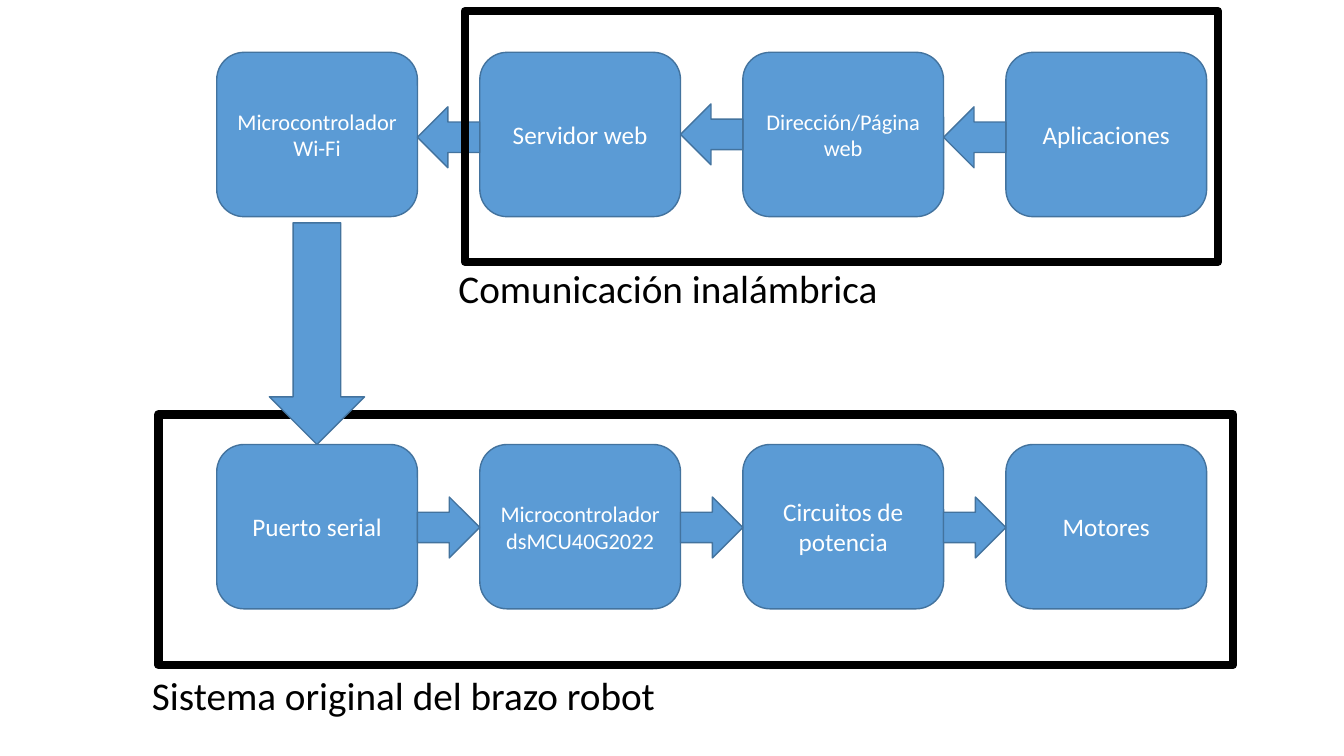
from pptx import Presentation
from pptx import util as u
from pptx.dml.color import RGBColor
from pptx.enum import shapes, text

BLUE = RGBColor(0x5B, 0x9B, 0xD5)
DARK_BLUE = RGBColor(0x43, 0x73, 0x9E)
WHITE = RGBColor(0xFF, 0xFF, 0xFF)
BLACK = RGBColor(0, 0, 0)

FONT = "Calibri"
FIRST_LEFT, COLUMN_STEP = 154.8, 187.9
BLOCK_WIDTH, BLOCK_HEIGHT = 143.4, 117.4
ARROW_WIDTH, ARROW_HEIGHT = COLUMN_STEP - BLOCK_WIDTH, 43.5
WIRELESS_TOP, ROBOT_TOP = 37.4, 317.5

WIRELESS_BLOCKS = [
    ("Microcontrolador\nWi-Fi", 16),
    ("Servidor web", 18),
    ("Dirección/Página web", 16),
    ("Aplicaciones", 18),
]
ROBOT_BLOCKS = [
    ("Puerto serial", 18),
    ("Microcontrolador\ndsMCU40G2022", 16),
    ("Circuitos de potencia", 18),
    ("Motores", 18),
]


def points(*lengths):
    return [u.Pt(length) for length in lengths]


def write(frame, wording, size, color, alignment):
    frame.text = wording
    for para in frame.paragraphs:
        para.alignment = alignment
        for span in para.runs:
            span.font.name = FONT
            span.font.size = u.Pt(size)
            span.font.color.rgb = color


def add_solid(page, kind, left, top, width, height):
    solid = page.shapes.add_shape(kind, *points(left, top, width, height))
    solid.shadow.inherit = False
    solid.fill.solid()
    solid.fill.fore_color.rgb = BLUE
    solid.line.color.rgb = DARK_BLUE
    solid.line.width = u.Pt(1)
    return solid


def add_block(page, left, top, wording, size):
    block = add_solid(page, shapes.MSO_SHAPE.ROUNDED_RECTANGLE,
                      left, top, BLOCK_WIDTH, BLOCK_HEIGHT)
    frame = block.text_frame
    frame.word_wrap = True
    frame.vertical_anchor = text.MSO_ANCHOR.MIDDLE
    write(frame, wording, size, WHITE, text.PP_ALIGN.CENTER)


def add_row(page, top, blocks, arrow_kind, arrow_tops):
    for column, (wording, size) in enumerate(blocks):
        add_block(page, FIRST_LEFT + column * COLUMN_STEP, top, wording, size)
    for column, arrow_top in enumerate(arrow_tops):
        left = FIRST_LEFT + column * COLUMN_STEP + BLOCK_WIDTH
        add_solid(page, arrow_kind, left, arrow_top, ARROW_WIDTH, ARROW_HEIGHT)


def add_border(page, left, top, width, height):
    border = page.shapes.add_shape(
        shapes.MSO_SHAPE.RECTANGLE, *points(left, top, width, height))
    border.shadow.inherit = False
    border.fill.background()
    border.line.color.rgb = BLACK
    border.line.width = u.Pt(6)


def add_caption(page, left, top, width, height, wording):
    box = page.shapes.add_textbox(*points(left, top, width, height))
    frame = box.text_frame
    frame.word_wrap = False
    frame.auto_size = text.MSO_AUTO_SIZE.SHAPE_TO_FIT_TEXT
    write(frame, wording, 28, BLACK, text.PP_ALIGN.LEFT)


def main():
    deck = Presentation()
    deck.slide_width, deck.slide_height = points(960, 540)
    page = deck.slides.add_slide(deck.slide_layouts[6])

    add_row(page, WIRELESS_TOP, WIRELESS_BLOCKS,
            shapes.MSO_SHAPE.LEFT_ARROW, [76.3, 74.2, 76.3])
    add_row(page, ROBOT_TOP, ROBOT_BLOCKS,
            shapes.MSO_SHAPE.RIGHT_ARROW, [355] * 3)
    add_border(page, 332, 8, 538, 179)
    add_border(page, 113.2, 296, 767.5, 179)
    add_solid(page, shapes.MSO_SHAPE.DOWN_ARROW, 192.4, 159.2, 68, 158.3)
    add_caption(page, 320.4, 185, 316.8, 41.2, "Comunicación inalámbrica")
    add_caption(page, 101.5, 476, 377.3, 41.2, "Sistema original del brazo robot")

    deck.save("out.pptx")


if __name__ == "__main__":
    main()
